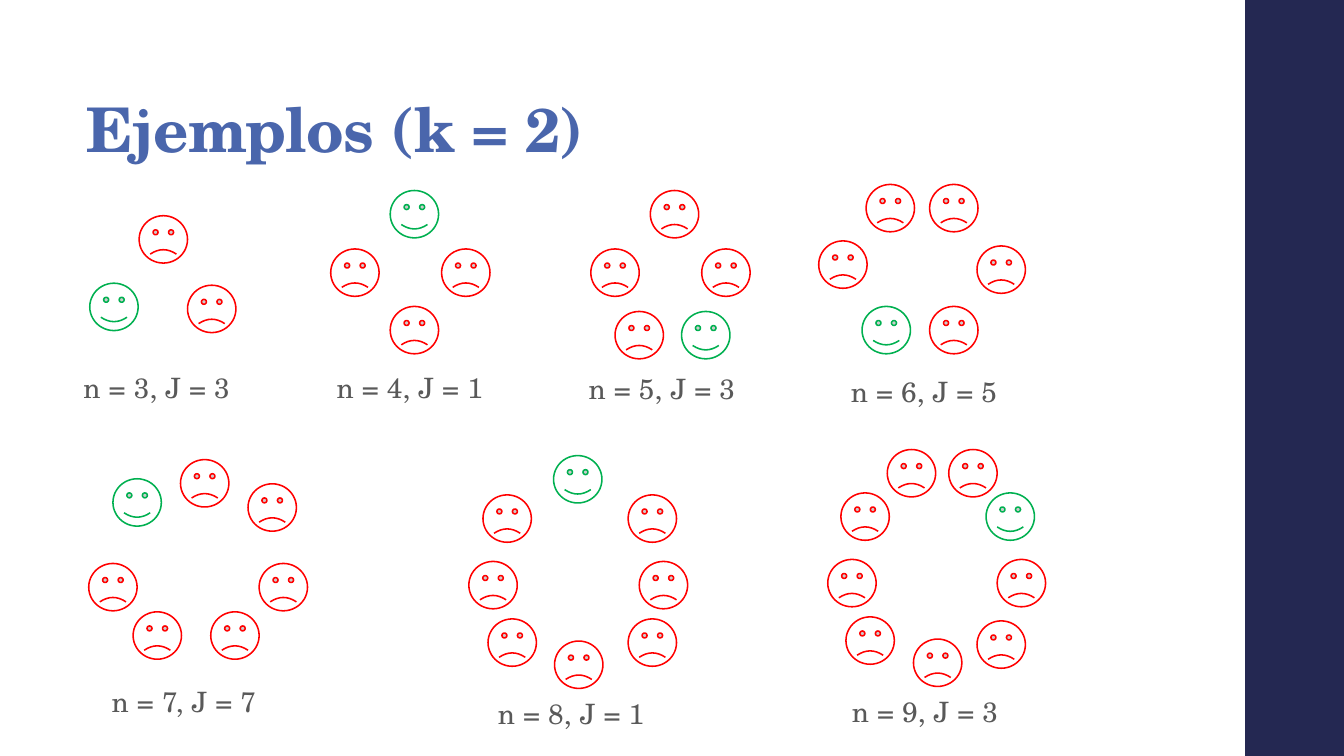
from pptx import Presentation
from pptx.dml.color import RGBColor
from pptx.enum.shapes import MSO_SHAPE as Preset
from pptx.enum.text import MSO_ANCHOR as Anchor, PP_ALIGN as Align
from pptx.util import Inches, Pt

NAVY = RGBColor(0x24, 0x28, 0x52)
BLUE = RGBColor(0x4A, 0x66, 0xAC)
GRAY = RGBColor(0x59, 0x59, 0x59)
RED = RGBColor(0xFF, 0x00, 0x00)
GREEN = RGBColor(0x00, 0xB0, 0x50)
WHITE = RGBColor(0xFF, 0xFF, 0xFF)

FONT = "TeX Gyre Schola"
WIDTH, HEIGHT = 13.33, 7.5
BAND_LEFT = 12.35
FACE_SIZE = (0.48, 0.47)
LABEL_SIZE = (1.74, 0.54)
FROWN = -0.0465
STEP = 2
TITLE = f"Ejemplos (k = {STEP})"

# Ring corner, label corner, then clockwise seats measured from the ring corner.
RINGS = [
    ((0.89, 2.14), (0.73, 3.6), [(0.49, 0), (0.97, 0.69), (0, 0.67)]),
    ((3.28, 1.89), (3.24, 3.6), [(0.59, 0), (1.1, 0.58), (0.59, 1.15), (0, 0.58)]),
    ((5.86, 1.89), (5.74, 3.61),
     [(0.59, 0), (1.1, 0.58), (0.9, 1.2), (0.24, 1.2), (0, 0.58)]),
    ((8.12, 1.83), (8.34, 3.64),
     [(0.47, 0), (1.1, 0), (1.57, 0.61), (1.1, 1.21), (0.43, 1.21), (0, 0.56)]),
    ((0.88, 4.56), (1.01, 6.72),
     [(0.91, 0), (1.58, 0.24), (1.69, 1.03), (1.21, 1.51), (0.44, 1.51),
      (0, 1.03), (0.24, 0.19)]),
    ((4.65, 4.52), (4.84, 6.84),
     [(0.84, 0), (1.58, 0.39), (1.69, 1.05), (1.58, 1.62), (0.85, 1.84),
      (0.19, 1.62), (0, 1.05), (0.14, 0.39)]),
    ((8.21, 4.46), (8.35, 6.82),
     [(0.59, 0), (1.2, 0), (1.57, 0.43), (1.68, 1.09), (1.48, 1.7),
      (0.85, 1.88), (0.18, 1.66), (0, 1.09), (0.13, 0.43)]),
]


def survivor(count):
    seat = 0
    for size in range(2, count + 1):
        seat = (seat + STEP) % size
    return seat + 1


def add_text(slide, text, left, top, width, height, *, size, color, bold=False,
             tracking=0, anchor=Anchor.TOP, align=Align.LEFT, line=1.0,
             before=0, after=0, inset_top=0.05):
    box = slide.shapes.add_textbox(*map(Inches, (left, top, width, height)))
    frame = box.text_frame
    frame.word_wrap = True
    frame.vertical_anchor = anchor
    frame.margin_top = Inches(inset_top)
    paragraph = frame.paragraphs[0]
    paragraph.alignment = align
    paragraph.line_spacing = line
    paragraph.space_before, paragraph.space_after = Pt(before), Pt(after)
    run = paragraph.add_run()
    run.text = text
    font = run.font
    font.name, font.size, font.bold = FONT, Pt(size), bold
    font.color.rgb = color
    run._r.get_or_add_rPr().set("spc", str(round(tracking * 100)))


def add_shape(slide, preset, left, top, width, height, fill, outline=None):
    shape = slide.shapes.add_shape(preset, *map(Inches, (left, top, width, height)))
    shape.shadow.inherit = False
    shape.fill.solid()
    shape.fill.fore_color.rgb = fill
    if outline is None:
        shape.line.fill.background()
    else:
        shape.line.color.rgb = outline
        shape.line.width = Pt(1.1)
    return shape


def add_ring(slide, corner, label_corner, seats):
    count = len(seats)
    winner = survivor(count)
    for number, (right, down) in enumerate(seats, 1):
        alive = number == winner
        face = add_shape(slide, Preset.SMILEY_FACE, corner[0] + right, corner[1] + down,
                         *FACE_SIZE, WHITE, GREEN if alive else RED)
        if not alive:
            face.adjustments[0] = FROWN
    add_text(slide, f"n = {count}, J = {winner}", *label_corner, *LABEL_SIZE,
             size=20, color=GRAY, tracking=0.1, align=Align.JUSTIFY,
             line=1.07, before=14, after=8)


def main():
    presentation = Presentation()
    presentation.slide_width = Inches(WIDTH)
    presentation.slide_height = Inches(HEIGHT)
    slide = presentation.slides.add_slide(presentation.slide_layouts[6])
    add_shape(slide, Preset.RECTANGLE, BAND_LEFT, 0, WIDTH - BAND_LEFT, HEIGHT, NAVY)
    add_text(slide, TITLE, 0.76, 0.13, 10.6, 1.56, size=44, color=BLUE, bold=True,
             tracking=-0.5, anchor=Anchor.BOTTOM, line=0.9, inset_top=0.03)
    for ring in RINGS:
        add_ring(slide, *ring)
    presentation.save("out.pptx")


if __name__ == "__main__":
    main()
